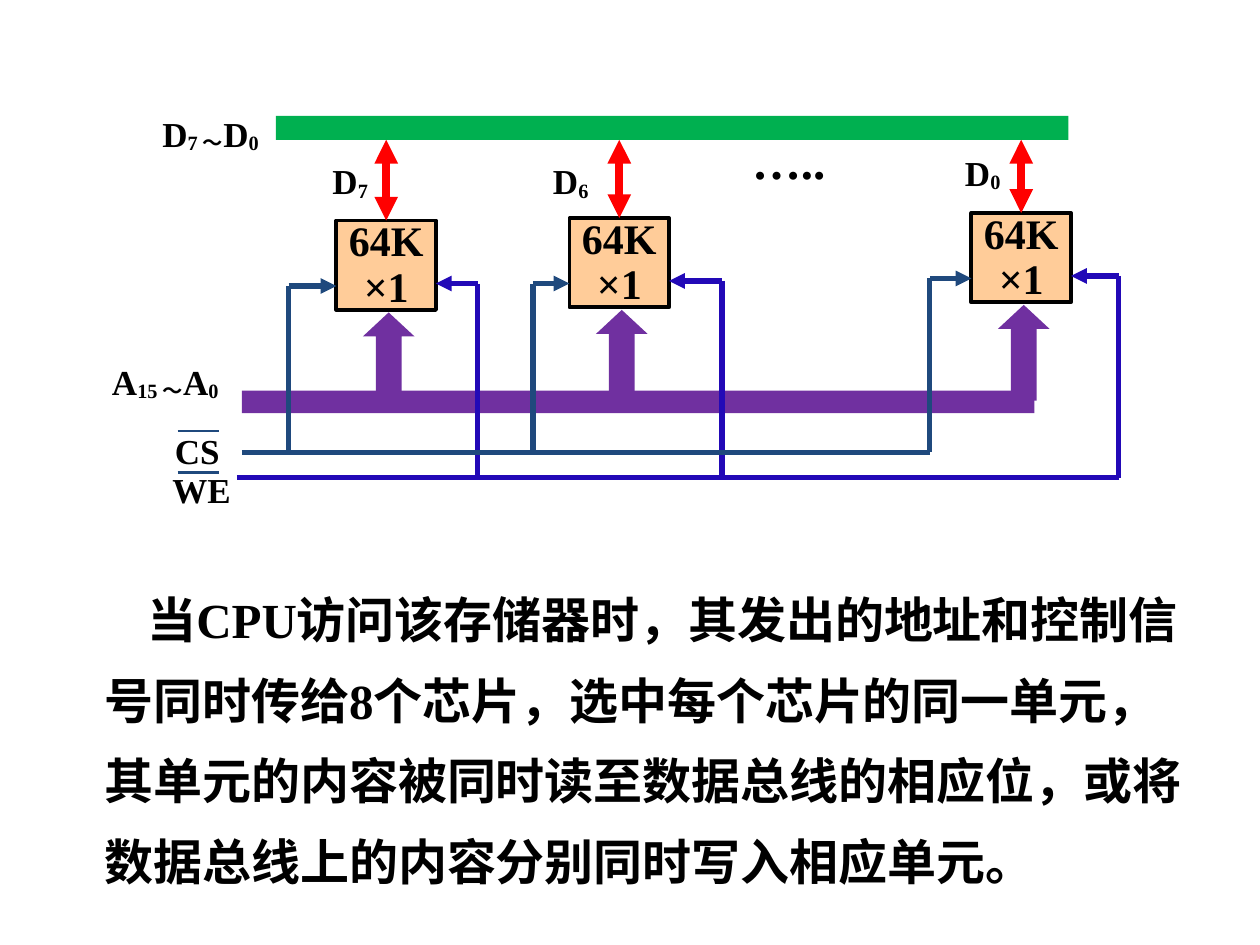
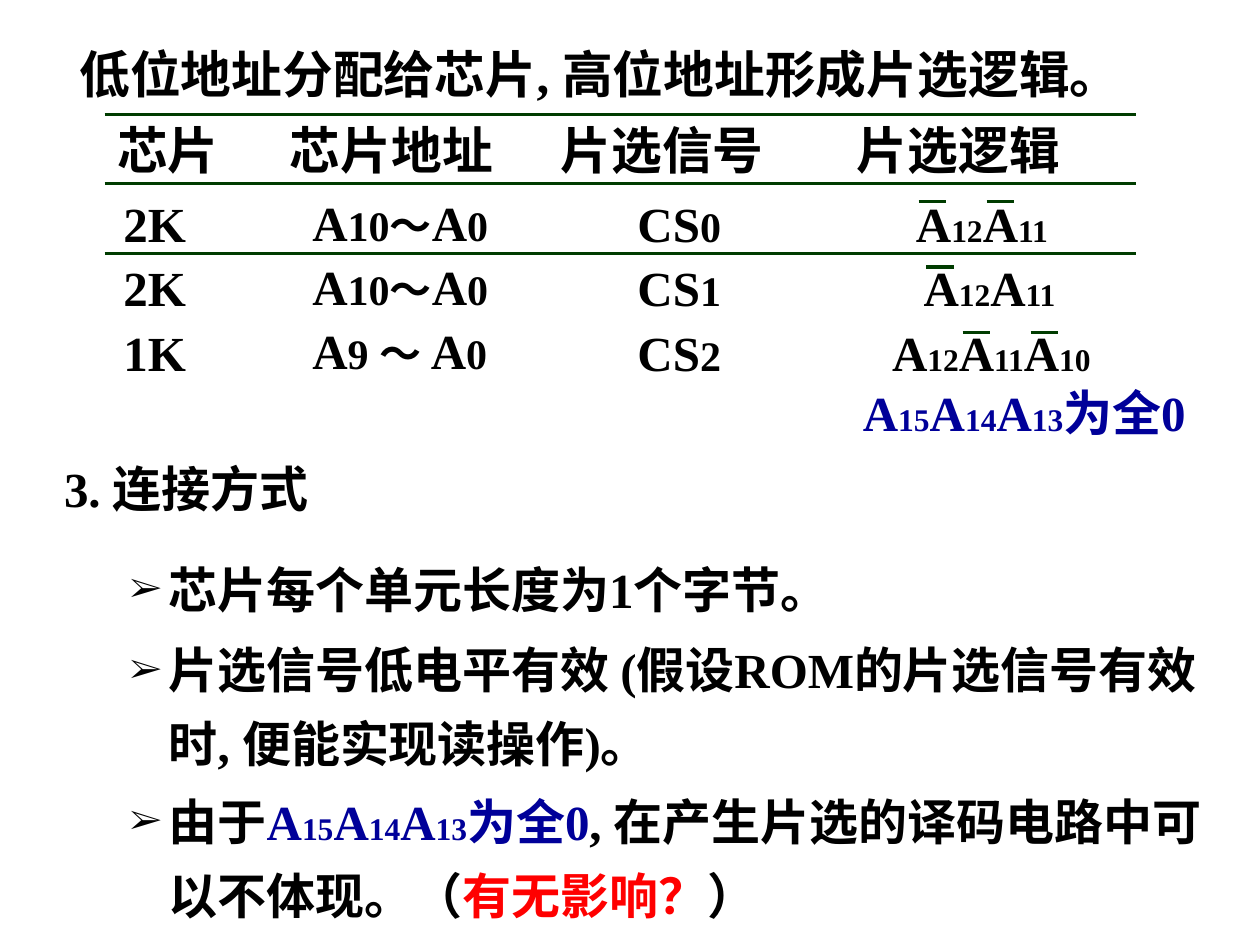
from dataclasses import dataclass

from lxml import etree
from pptx import Presentation
from pptx.dml.color import RGBColor
from pptx.enum.shapes import MSO_CONNECTOR, MSO_SHAPE
from pptx.enum.text import MSO_ANCHOR, MSO_AUTO_SIZE, PP_ALIGN
from pptx.oxml.ns import qn
from pptx.util import Inches, Pt

STRAIGHT = MSO_CONNECTOR.STRAIGHT
RECT, UP_ARROW = MSO_SHAPE.RECTANGLE, MSO_SHAPE.UP_ARROW
TOP, MIDDLE, BOTTOM = MSO_ANCHOR.TOP, MSO_ANCHOR.MIDDLE, MSO_ANCHOR.BOTTOM
LEFT, CENTER = PP_ALIGN.LEFT, PP_ALIGN.CENTER
NO_FIT = MSO_AUTO_SIZE.NONE
TITLE_AND_BODY = 1
NO_TABLE_STYLE = "{2D5ABB26-0587-4C30-8999-92F81FD0307C}"

# The slide is a grid of 100 columns by 75 rows of square cells.
WIDTH, HEIGHT = Inches(10), Inches(7.5)
CELL = WIDTH / 100


@dataclass(frozen=True)
class Theme:
    font: str = "Times New Roman"
    ink: str = "000000"
    note: str = "000099"
    alert: str = "FF0000"
    chip: str = "FFCC99"
    data_bus: str = "00B050"
    data_arrow: str = "FF0000"
    address: str = "7030A0"
    cs_wire: str = "1F497D"
    we_wire: str = "2209B7"
    rule: str = "003C00"
    title_size: int = 29
    body_size: int = 28
    number_size: int = 24
    label_size: int = 20
    index_size: int = 18


T = Theme()

# left, top, data bit, label left, label top, CS riser, WE riser
CHIPS = [
    (26.7, 17.5, "7", 25.4, 12.2, 22.9, 37.9),
    (45.2, 17.3, "6", 42.9, 12.2, 42.3, 57.3),
    (77.1, 16.9, "0", 75.6, 11.5, 73.8, 88.8),
]
CHIP_W, CHIP_H = 7.9, 7.1
DATA_BUS_Y, DATA_BUS_H = 9.2, 1.9
ADDRESS_BUS_Y = 31
CS_Y, WE_Y = 35.9, 37.9

TABLE_X, TABLE_Y = 8.3, 9.1
COLUMNS = [13.7, 21.5, 23.5, 23.2]
ROWS = [5.5, 5.5, 5.1, 5.1]
HEADERS = ["芯片", "芯片地址", "片选信号", "片选逻辑"]
CELL_INDENTS = [1.5, 2.8, 7.1]
# size, top address bit, select number, logic bits, barred bits, logic indent
DECODING = [
    ("2K", "10～", "0", ["12", "11"], [0, 1], 5.7),
    ("2K", "10～", "1", ["12", "11"], [0], 6.3),
    ("1K", "9 ～ ", "2", ["12", "11", "10"], [1, 2], 3.8),
]


def cells(*lengths):
    return [round(n * CELL) for n in lengths]


def rgb(color):
    return RGBColor.from_string(color)


def add_runs(p, *runs):
    """Each run is text, size and, if wanted, colour and baseline shift."""
    for text, size, *rest in runs:
        r = p.add_run()
        r.text = text
        r.font.name, r.font.size, r.font.bold = T.font, Pt(size), True
        r.font.color.rgb = rgb(rest[0] if rest else T.ink)
        if len(rest) > 1:
            r._r.get_or_add_rPr().set("baseline", str(rest[1]))


def space(p, before=0, line=None):
    p.space_before = Pt(before)
    if line:
        p.line_spacing = Pt(line)


def address_bits(bits, color=T.ink):
    runs = []
    for bit in bits:
        runs += [("A", T.body_size, color), (bit, T.index_size, color)]
    return runs


def label_runs(*parts):
    """Letters and lowered indices alternate."""
    return [(text, T.label_size, T.ink, -10000 if i % 2 else 0)
            for i, text in enumerate(parts)]


def add_text(s, x, y, w, h, *runs):
    tf = s.shapes.add_textbox(*cells(x, y, w, h)).text_frame
    tf.word_wrap = True
    add_runs(tf.paragraphs[0], *runs)


def add_label(s, x, y, *parts):
    add_text(s, x, y, 12.9, 4.3, *label_runs(*parts))


def add_block(s, kind, x, y, w, h, color, outline=None):
    sp = s.shapes.add_shape(kind, *cells(x, y, w, h))
    sp.shadow.inherit = False
    sp.fill.solid()
    sp.fill.fore_color.rgb = rgb(color)
    if outline:
        sp.line.color.rgb, sp.line.width = rgb(outline), Pt(2.25)
    else:
        sp.line.fill.background()
    return sp


def add_line(s, x1, y1, x2, y2, color, width, arrows=()):
    """Arrows names the ends with heads: headEnd (start), tailEnd (end)."""
    line = s.shapes.add_connector(STRAIGHT, *cells(x1, y1, x2, y2))
    line.line.color.rgb, line.line.width = rgb(color), Pt(width)
    for end in arrows:
        etree.SubElement(line.line._get_or_add_ln(), qn("a:" + end), type="triangle")
    etree.SubElement(line._element.spPr, qn("a:effectLst"))
    return line


def fit_placeholder(sp, x, y, w, h):
    sp.left, sp.top, sp.width, sp.height = cells(x, y, w, h)
    tf = sp.text_frame
    tf.word_wrap, tf.auto_size, tf.vertical_anchor = True, NO_FIT, TOP
    return tf


def set_bullet(p, margin, indent, char=None):
    pPr = p._p.get_or_add_pPr()
    left, first = cells(margin, indent)
    pPr.set("marL", str(left))
    pPr.set("indent", str(first))
    if char:
        etree.SubElement(pPr, qn("a:buSzPct"), val="71000")
        etree.SubElement(pPr, qn("a:buFont"), typeface=T.font)
        etree.SubElement(pPr, qn("a:buChar"), char=char)
    else:
        etree.SubElement(pPr, qn("a:buNone"))


def add_chip(s, x, y):
    chip = add_block(s, RECT, x, y, CHIP_W, CHIP_H, T.chip, T.ink)
    tf = chip.text_frame
    tf.margin_left = tf.margin_right = tf.margin_top = tf.margin_bottom = 0
    tf.vertical_anchor = MIDDLE
    for i, text in enumerate(["64K", "×1"]):
        p = tf.add_paragraph() if i else tf.paragraphs[0]
        p.alignment = CENTER
        space(p, line=26)
        add_runs(p, (text, T.number_size))
    return chip


def wire_chip(s, x, y, bit, label_x, label_y, cs_x, we_x):
    chip = add_chip(s, x, y)
    arrow = add_block(s, UP_ARROW, x + 2.1, y + 7.3, 4.1, 7.6, T.address)
    arrow.adjustments[1] = 0.465
    mid = x + CHIP_W / 2
    data = add_line(s, mid, DATA_BUS_Y + DATA_BUS_H, mid, y, T.data_arrow, 4.5,
                    ["headEnd", "tailEnd"])
    data.end_connect(chip, 0)
    add_label(s, label_x, label_y, "D", bit)
    for riser, bus_y, pin_x, pin_y, color in [
            (cs_x, CS_Y, x, y + 5.2, T.cs_wire),
            (we_x, WE_Y, x + CHIP_W, y + 5, T.we_wire)]:
        add_line(s, riser, pin_y, riser, bus_y, color, 3)
        add_line(s, riser, pin_y, pin_x, pin_y, color, 3, ["tailEnd"])


def add_rules(cell, *sides):
    """Draw borders; sides are lnT and lnB, in that order."""
    tcPr = cell._tc.get_or_add_tcPr()
    for side in reversed(sides):
        ln = etree.Element(qn("a:" + side), w=str(Pt(2)))
        fill = etree.SubElement(ln, qn("a:solidFill"))
        etree.SubElement(fill, qn("a:srgbClr"), val=T.rule)
        tcPr.insert(0, ln)


def fill_cell(cell, indent, runs):
    cell.fill.background()
    cell.margin_left = cells(indent)[0]
    cell.margin_right = cell.margin_top = cell.margin_bottom = 0
    cell.vertical_anchor = BOTTOM
    p = cell.text_frame.paragraphs[0]
    space(p, line=30)
    add_runs(p, *runs)


def add_decoding_table(s):
    frame = s.shapes.add_table(len(ROWS), len(COLUMNS),
                               *cells(TABLE_X, TABLE_Y, sum(COLUMNS), sum(ROWS)))
    table = frame.table
    table.first_row = table.horz_banding = False
    table._tbl.tblPr.find(qn("a:tableStyleId")).text = NO_TABLE_STYLE
    for column, width in zip(table.columns, cells(*COLUMNS)):
        column.width = width
    for row, height in zip(table.rows, cells(*ROWS)):
        row.height = height

    for c, text in enumerate(HEADERS):
        fill_cell(table.cell(0, c), 1, [(text, T.title_size)])
        add_rules(table.cell(0, c), "lnT", "lnB")
    logic_x = TABLE_X + sum(COLUMNS[:3])
    for r, (size, high, number, bits, barred, indent) in enumerate(DECODING):
        contents = [
            [(size, T.body_size)],
            [("A", T.body_size), (high, T.number_size),
             ("A", T.body_size), ("0", T.number_size)],
            [("CS", T.body_size), (number, T.number_size)],
            address_bits(bits),
        ]
        for c, (runs, inset) in enumerate(zip(contents, CELL_INDENTS + [indent])):
            fill_cell(table.cell(r + 1, c), inset, runs)
            if r == 0:
                add_rules(table.cell(1, c), "lnT")
        for k in barred:
            x, y = logic_x + indent + 0.2 + 5.4 * k, 16 + 5.2 * r
            add_line(s, x, y, x + 2.2, y, T.rule, 2)


def build_chip_wiring(prs):
    s = prs.slides.add_slide(prs.slide_layouts[TITLE_AND_BODY])
    s.shapes.title._element.getparent().remove(s.shapes.title._element)
    p = fit_placeholder(s.placeholders[1], 3.5, 44.6, 91.4, 25.2).paragraphs[0]
    set_bullet(p, 3.8, 3.4)
    space(p, line=46)
    add_runs(p, ("当CPU访问该存储器时，其发出的地址和控制信号同时传给8个芯片，"
                 "选中每个芯片的同一单元，其单元的内容被同时读至数据总线的相应位，"
                 "或将数据总线上的内容分别同时写入相应单元。", T.body_size))

    add_block(s, RECT, 19.2, ADDRESS_BUS_Y, 62.9, 1.8, T.address)
    add_block(s, RECT, 21.9, DATA_BUS_Y, 62.9, DATA_BUS_H, T.data_bus)
    for chip in CHIPS:
        wire_chip(s, *chip)
    add_line(s, 19.2, CS_Y, CHIPS[-1][5], CS_Y, T.cs_wire, 3)
    add_line(s, 18.8, WE_Y, CHIPS[-1][6], WE_Y, T.we_wire, 3)

    add_label(s, 11.9, 8.4, "D", "7 ～", "D", "0")
    add_label(s, 7.9, 28.1, "A", "15 ～", "A", "0")
    for name, x, y, bar_y in [("CS", 12.9, 33.6, 34.2), ("WE", 12.7, 36.7, 37.5)]:
        add_label(s, x, y, name)
        add_line(s, 14.1, bar_y, 17.4, bar_y, T.cs_wire, 1.5)
    add_text(s, 58.7, 9.9, 7.9, 5.7, ("…..", T.body_size))


def build_address_decoding(prs):
    s = prs.slides.add_slide(prs.slide_layouts[TITLE_AND_BODY])
    p = fit_placeholder(s.shapes.title, 5.3, 2.9, 95.4, 5.8).paragraphs[0]
    p.alignment = LEFT
    add_runs(p, ("低位地址分配给芯片, 高位地址形成片选逻辑。", T.title_size))
    add_decoding_table(s)

    all_zero = address_bits(["15", "14", "13"], T.note)
    all_zero.append(("为全0", T.body_size, T.note))
    add_text(s, 67.5, 29.9, 32.5, 5.7, *all_zero)
    add_text(s, 4.1, 35.9, 32.2, 5.7, ("3. 连接方式", T.body_size))

    points = [
        (0, [("芯片每个单元长度为1个字节。", T.body_size)]),
        (4.2, [("片选信号低电平有效 (假设ROM的片选信号有效时, 便能实现读操作)。",
                T.body_size)]),
        (2.8, [("由于", T.body_size), *all_zero,
               (", 在产生片选的译码电路中可以不体现。（", T.body_size),
               ("有无影响？", T.body_size, T.alert), ("）", T.body_size)]),
    ]
    tf = fit_placeholder(s.placeholders[1], 9.3, 42.7, 89.8, 31)
    for i, (before, runs) in enumerate(points):
        p = tf.add_paragraph() if i else tf.paragraphs[0]
        set_bullet(p, 3.1, -3.1, "➢")
        space(p, before, 42)
        add_runs(p, *runs)


def main():
    prs = Presentation()
    prs.slide_width, prs.slide_height = WIDTH, HEIGHT
    build_chip_wiring(prs)
    build_address_decoding(prs)
    prs.save("out.pptx")


if __name__ == "__main__":
    main()
